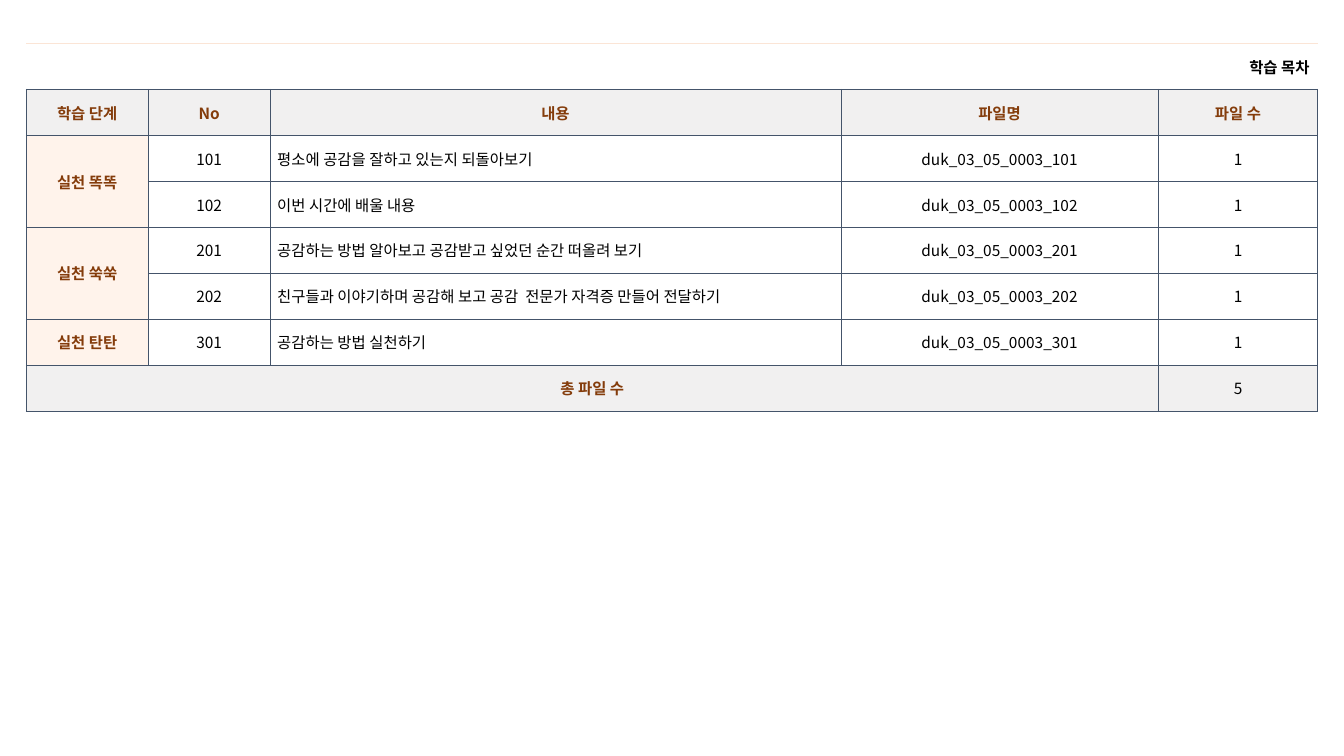
from lxml import etree
from pptx import Presentation
from pptx.dml.color import RGBColor
from pptx.enum.text import MSO_ANCHOR, PP_ALIGN
from pptx.oxml.ns import qn
from pptx.util import Inches, Pt

LEFT, CENTER, RIGHT = PP_ALIGN.LEFT, PP_ALIGN.CENTER, PP_ALIGN.RIGHT
MIDDLE = MSO_ANCHOR.MIDDLE

BLACK = RGBColor(0x00, 0x00, 0x00)
WHITE = RGBColor(0xFF, 0xFF, 0xFF)
BROWN = RGBColor(0x84, 0x3C, 0x0B)
GREY = RGBColor(0xF1, 0xF0, 0xF0)
PEACH = RGBColor(0xFF, 0xF3, 0xEB)
PALE_ORANGE = RGBColor(0xFB, 0xE5, 0xD6)
SLATE = RGBColor(0x44, 0x54, 0x6A)

FONT = "Noto Sans CJK KR"
COLUMN_WIDTHS = [1.21, 1.21, 5.66, 3.15, 1.58]
TITLE = "학습 목차"
HEADERS = ["학습 단계", "No", "내용", "파일명", "파일 수"]
FILE_PREFIX = "duk_03_05_0003_"
STAGES = [
    ("실천 똑똑", [
        ("101", "평소에 공감을 잘하고 있는지 되돌아보기"),
        ("102", "이번 시간에 배울 내용"),
    ]),
    ("실천 쑥쑥", [
        ("201", "공감하는 방법 알아보고 공감받고 싶었던 순간 떠올려 보기"),
        ("202", "친구들과 이야기하며 공감해 보고 공감  전문가 자격증 만들어 전달하기"),
    ]),
    ("실천 탄탄", [("301", "공감하는 방법 실천하기")]),
]
LESSON_COUNT = sum(len(lessons) for _, lessons in STAGES)


def set_border(cell, side, color, width=0.5):
    """Draw one side (L, R, T or B) of a cell; no color means no line."""
    properties = cell._tc.get_or_add_tcPr()
    line = etree.SubElement(properties, qn(f"a:ln{side}"), w=str(Pt(width)))
    if color is None:
        etree.SubElement(line, qn("a:noFill"))
    else:
        fill = etree.SubElement(line, qn("a:solidFill"))
        etree.SubElement(fill, qn("a:srgbClr"), val=str(color))


def write_cell(cell, text, fill=WHITE, color=BLACK, bold=False, align=CENTER, inset=0.07):
    cell.vertical_anchor = MIDDLE
    cell.margin_left = cell.margin_right = Inches(inset)
    cell.margin_top = cell.margin_bottom = Inches(0.05)
    if fill is None:
        cell.fill.background()
    else:
        cell.fill.solid()
        cell.fill.fore_color.rgb = fill
    paragraph = cell.text_frame.paragraphs[0]
    paragraph.text = text
    paragraph.alignment = align
    font = paragraph.font
    font.name, font.size, font.bold = FONT, Pt(11), bold
    font.color.rgb = color
    # Korean text takes the East Asian typeface
    defaults = paragraph._p.pPr.find(qn("a:defRPr"))
    etree.SubElement(defaults, qn("a:ea"), typeface=FONT)


def add_contents_table(slide, left, top, width, height):
    row_count = LESSON_COUNT + 3
    frame = slide.shapes.add_table(row_count, len(HEADERS), left, top, width, height)
    table = frame.table
    table.first_row = table.horz_banding = False
    for column, column_width in zip(table.columns, COLUMN_WIDTHS):
        column.width = Inches(column_width)
    for row in table.rows:
        row.height = height // row_count

    # Grid lines: the title row is open at its sides
    for row in range(row_count):
        for column in range(len(HEADERS)):
            cell = table.cell(row, column)
            for side in "LR":
                set_border(cell, side, SLATE if row else None)
            if row:
                set_border(cell, "T", SLATE)
            else:
                set_border(cell, "T", PALE_ORANGE, 0.25)
            set_border(cell, "B", SLATE)

    # Title and headers
    table.cell(0, 0).merge(table.cell(0, len(HEADERS) - 1))
    write_cell(table.cell(0, 0), TITLE, None, bold=True, align=RIGHT, inset=0.08)
    for column, header in enumerate(HEADERS):
        write_cell(table.cell(1, column), header, GREY, BROWN, True)

    # Lessons, grouped by stage
    row = 2
    for stage, lessons in STAGES:
        if len(lessons) > 1:
            table.cell(row, 0).merge(table.cell(row + len(lessons) - 1, 0))
        write_cell(table.cell(row, 0), stage, PEACH, BROWN, True)
        for number, content in lessons:
            write_cell(table.cell(row, 1), number)
            write_cell(table.cell(row, 2), content, align=LEFT)
            write_cell(table.cell(row, 3), FILE_PREFIX + number)
            write_cell(table.cell(row, 4), "1")
            row += 1

    # Total
    table.cell(row, 0).merge(table.cell(row, 3))
    write_cell(table.cell(row, 0), "총 파일 수", GREY, BROWN, True)
    write_cell(table.cell(row, 4), str(LESSON_COUNT), GREY)


def main():
    presentation = Presentation()
    presentation.slide_width = Inches(13.33)
    presentation.slide_height = Inches(7.5)
    slide = presentation.slides.add_slide(presentation.slide_layouts[6])
    add_contents_table(slide, Inches(0.26), Inches(0.43), Inches(12.81), Inches(3.65))
    presentation.save("out.pptx")


if __name__ == "__main__":
    main()
